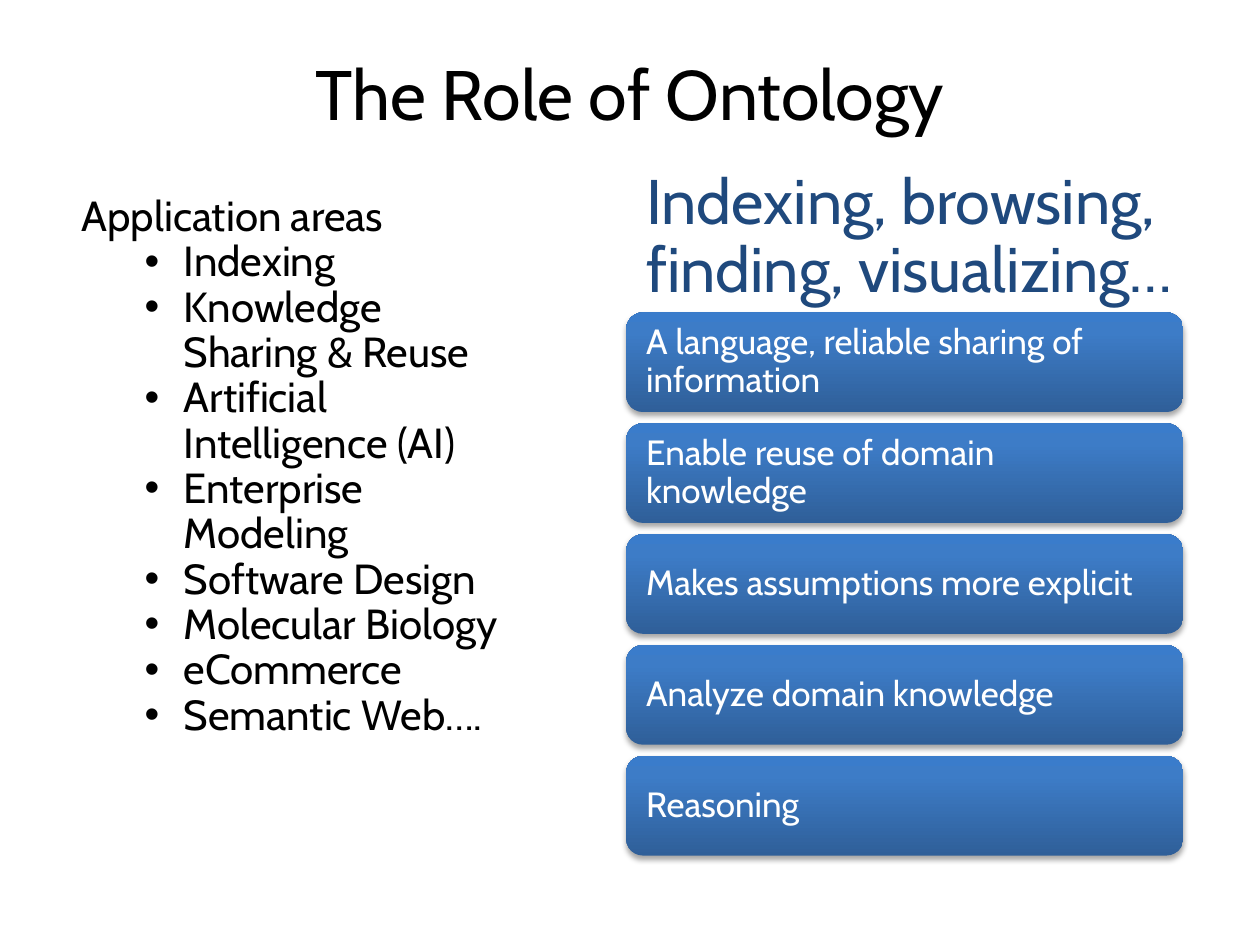
"""Build the slide on the role of ontology."""
from lxml.etree import SubElement
from pptx import Presentation
from pptx.dml.color import RGBColor
from pptx.enum.shapes import MSO_SHAPE as Shape
from pptx.enum.text import MSO_ANCHOR as Anchor, PP_ALIGN as Align
from pptx.oxml.ns import qn
from pptx.util import Inches, Pt

TITLE = "The Role of Ontology"
AREAS_HEADING = "Application areas"
AREAS = [
    "Indexing",
    "Knowledge Sharing & Reuse",
    "Artificial Intelligence (AI)",
    "Enterprise Modeling",
    "Software Design",
    "Molecular Biology",
    "eCommerce",
    "Semantic Web….",
]
BENEFITS_HEADING = "Indexing, browsing, finding, visualizing…"
BENEFITS = [
    "A language, reliable sharing of information",
    "Enable reuse of domain knowledge",
    "Makes assumptions more explicit",
    "Analyze domain knowledge",
    "Reasoning",
]

FONT = "Cabin"
BLACK = RGBColor(0x00, 0x00, 0x00)
WHITE = RGBColor(0xFF, 0xFF, 0xFF)
NAVY = RGBColor(0x1F, 0x49, 0x7D)
GRADIENT = [
    (0, RGBColor(0x2F, 0x5F, 0x99)),
    (80, RGBColor(0x3D, 0x7C, 0xC7)),
    (100, RGBColor(0x3A, 0x7C, 0xCB)),
]
BAR_LEFT, BAR_TOP, BAR_WIDTH, BAR_HEIGHT = 4.97, 2.48, 4.42, 0.79
BAR_PITCH = 0.88
BAR_MARGIN = 0.12


def add_text_box(slide, left, top, width, height, anchor=Anchor.TOP):
    box = slide.shapes.add_textbox(Inches(left), Inches(top), Inches(width), Inches(height))
    frame = box.text_frame
    frame.word_wrap = True
    frame.vertical_anchor = anchor
    return frame


def write(paragraph, text, size, color, spacing=0.9, align=Align.LEFT):
    paragraph.text = text
    paragraph.alignment = align
    paragraph.line_spacing = spacing
    paragraph.font.name = FONT
    paragraph.font.size = Pt(size)
    paragraph.font.color.rgb = color


def add_bullet(paragraph):
    properties = paragraph._p.get_or_add_pPr()
    properties.set("marL", str(Inches(0.81)))
    properties.set("indent", str(Inches(-0.31)))
    SubElement(properties, qn("a:buFont"), typeface="Arial")
    SubElement(properties, qn("a:buChar"), char="•")


def add_color(parent, color):
    return SubElement(parent, qn("a:srgbClr"), val=str(color))


def style_bar(bar):
    bar.fill.gradient()
    bar.fill.gradient_angle = 90
    stops = bar._element.spPr.find(".//" + qn("a:gsLst"))
    for stop in list(stops):
        stops.remove(stop)
    for position, color in GRADIENT:
        add_color(SubElement(stops, qn("a:gs"), pos=str(position * 1000)), color)
    bar.line.fill.background()
    bar.shadow.inherit = False
    effects = bar._element.spPr.find(qn("a:effectLst"))
    shadow = SubElement(effects, qn("a:outerShdw"), blurRad=str(Pt(3.1)),
                        dist=str(Pt(1.8)), dir="5400000", rotWithShape="0")
    SubElement(add_color(shadow, BLACK), qn("a:alpha"), val="35000")


def add_bar(slide, index, text):
    bar = slide.shapes.add_shape(
        Shape.ROUNDED_RECTANGLE, Inches(BAR_LEFT), Inches(BAR_TOP + index * BAR_PITCH),
        Inches(BAR_WIDTH), Inches(BAR_HEIGHT))
    style_bar(bar)
    frame = bar.text_frame
    frame.word_wrap = True
    frame.vertical_anchor = Anchor.MIDDLE
    frame.margin_left = frame.margin_right = Inches(BAR_MARGIN)
    frame.margin_top = frame.margin_bottom = Inches(BAR_MARGIN)
    write(frame.paragraphs[0], text, 20, WHITE)


def main():
    presentation = Presentation()
    presentation.slide_width, presentation.slide_height = Inches(10), Inches(7.5)
    slide = presentation.slides.add_slide(presentation.slide_layouts[6])

    title = add_text_box(slide, 0.5, 0.3, 9, 0.87, Anchor.MIDDLE)
    write(title.paragraphs[0], TITLE, 40, BLACK, 1.0, Align.CENTER)

    areas = add_text_box(slide, 0.55, 1.5, 3.62, 5.2)
    write(areas.paragraphs[0], AREAS_HEADING, 24, BLACK)
    for area in AREAS:
        paragraph = areas.add_paragraph()
        add_bullet(paragraph)
        write(paragraph, area, 24, BLACK)

    heading = add_text_box(slide, 5.03, 1.15, 4.42, 1.33, Anchor.BOTTOM)
    write(heading.paragraphs[0], BENEFITS_HEADING, 36, NAVY)
    for index, benefit in enumerate(BENEFITS):
        add_bar(slide, index, benefit)

    presentation.save("out.pptx")


if __name__ == "__main__":
    main()
